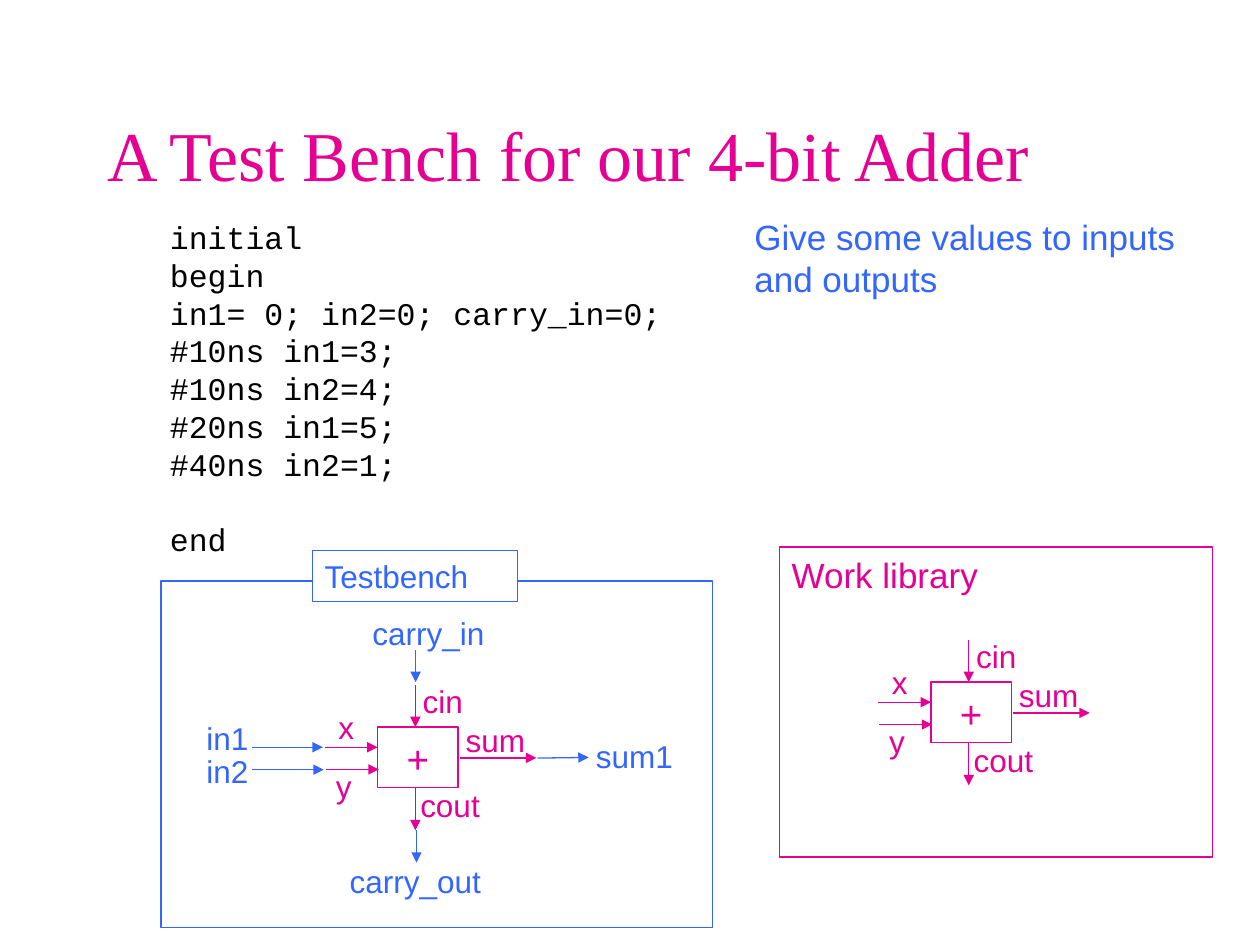
"""Build the slide on a test bench for a 4-bit adder."""
import pptx
import pptx.dml.color
import pptx.enum.shapes
import pptx.enum.text
import pptx.oxml
import pptx.oxml.ns
import pptx.util
from lxml import etree

Pt = pptx.util.Pt
PINK = pptx.dml.color.RGBColor(0xE5, 0x00, 0x93)
BLUE = pptx.dml.color.RGBColor(0x33, 0x66, 0xFF)
BLACK = pptx.dml.color.RGBColor(0, 0, 0)
WHITE = pptx.dml.color.RGBColor(255, 255, 255)
CODE = """initial
begin
in1= 0; in2=0; carry_in=0;
#10ns in1=3;
#10ns in2=4;
#20ns in1=5;
#40ns in2=1;
end"""


class Pen:
    """Draw styled parts on the current slide."""

    def __init__(self, slide):
        self.slide = slide
        self.shapes = slide.shapes

    def group(self):
        self.shapes = self.slide.shapes.add_group_shape().shapes

    def ungroup(self):
        self.shapes = self.slide.shapes

    def style(self, shape, text, color, size, font="Arial"):
        frame = shape.text_frame
        frame.text = text
        frame.word_wrap = True
        for para in frame.paragraphs:
            para.alignment = pptx.enum.text.PP_ALIGN.LEFT
            for run in para.runs:
                run.font.name = font
                run.font.size = Pt(size)
                run.font.color.rgb = color
        return frame

    def title(self, text, left, top, width, height):
        shape = self.slide.shapes.title
        shape.left, shape.top = Pt(left), Pt(top)
        shape.width, shape.height = Pt(width), Pt(height)
        frame = self.style(shape, text, PINK, 40, "Times New Roman")
        frame.vertical_anchor = pptx.enum.text.MSO_ANCHOR.MIDDLE

    def text(self, text, left, top, width, height, color, size=18, font="Arial"):
        shape = self.shapes.add_textbox(Pt(left), Pt(top), Pt(width), Pt(height))
        frame = self.style(shape, text, color, size, font)
        for para in frame.paragraphs:
            para.line_spacing = Pt(1.2 * size)
        return frame

    def box(self, left, top, width, height, color, fill=None, text="", size=18):
        shape = self.shapes.add_shape(
            pptx.enum.shapes.MSO_SHAPE.RECTANGLE, Pt(left), Pt(top), Pt(width), Pt(height))
        shape.shadow.inherit = False
        shape.line.color.rgb = color
        shape.line.width = Pt(0.75)
        if fill is None:
            shape.fill.background()
        else:
            shape.fill.solid()
            shape.fill.fore_color.rgb = fill
        if text:
            frame = self.style(shape, text, color, size)
            frame.vertical_anchor = pptx.enum.text.MSO_ANCHOR.TOP
            frame.paragraphs[0].line_spacing = Pt(1.2 * size)

    def arrow(self, x1, y1, x2, y2, color):
        line = self.shapes.add_connector(
            pptx.enum.shapes.MSO_CONNECTOR.STRAIGHT, Pt(x1), Pt(y1), Pt(x2), Pt(y2))
        line.line.color.rgb = color
        line.line.width = Pt(0.75)
        props = line._element.spPr
        tip = etree.SubElement(props.find(pptx.oxml.ns.qn("a:ln")), pptx.oxml.ns.qn("a:tailEnd"))
        tip.set("type", "triangle")
        etree.SubElement(props, pptx.oxml.ns.qn("a:effectLst"))

    def adder(self, left, top):
        self.group()
        self.box(left, top, 46, 34.6, PINK)
        self.text("+", left + 9.4, top + 1, 36.7, 33.8, PINK, 22)
        for x1, y1, x2, y2 in [
            (21.6, -24, 21.6, 0),
            (21.6, 35, 21.6, 59),
            (-30, 11.5, 0, 11.5),
            (-29.5, 24.2, 0.7, 24.2),
            (46.8, 17.6, 90.7, 17.6),
        ]:
            self.arrow(left + x1, top + y1, left + x2, top + y2, PINK)
        for name, x, y, width in [
            ("x", -29.5, -14.4, 36.7),
            ("y", -31, 19.4, 36.7),
            ("cin", 18.7, -29.5, 56),
            ("cout", 17.3, 30, 56),
            ("sum", 43.2, -6.8, 56),
        ]:
            self.text(name, left + x, top + y, width, 28.8, PINK)
        self.ungroup()


def main():
    deck = pptx.Presentation()
    deck.slide_width, deck.slide_height = Pt(720), Pt(540)
    pen = Pen(deck.slides.add_slide(deck.slide_layouts[5]))
    pen.title("A Test Bench for our 4-bit Adder", 54, 37.4, 612, 100.8)
    pen.box(445.3, 312.6, 247.8, 177.2, PINK, WHITE, "Work library", 20)
    pen.adder(532, 389.8)

    pen.group()
    pen.box(92, 332, 315, 198, BLUE)
    pen.box(178.5, 314.8, 117.3, 28.8, BLUE, WHITE, "Testbench")
    pen.ungroup()

    code = pen.text(CODE, 90, 121, 381, 201.6, BLACK, font="Courier New")
    code.paragraphs[-1].space_before = Pt(21.6)
    pen.text("Give some values to inputs and outputs", 424, 119.5, 273.6, 55.4, BLUE, 20)
    pen.adder(215.8, 415.5)

    for ends in [
        (144, 427, 184.5, 427),
        (144, 439.8, 185, 439.8),
        (307.3, 433.2, 336.4, 432.8),
        (238, 474.5, 238, 493),
        (237.5, 371.5, 237.5, 389.8),
    ]:
        pen.arrow(*ends, BLUE)
    for name, left, top, width in [
        ("in1", 110.9, 407.5, 47.5),
        ("in2", 110.9, 426.2, 47.5),
        ("sum1", 333.4, 417.6, 67.7),
        ("carry_in", 205.7, 347.2, 83.5),
        ("carry_out", 192.7, 488.9, 100.8),
    ]:
        pen.text(name, left, top, width, 28.8, BLUE)
    deck.save("out.pptx")


if __name__ == "__main__":
    main()
